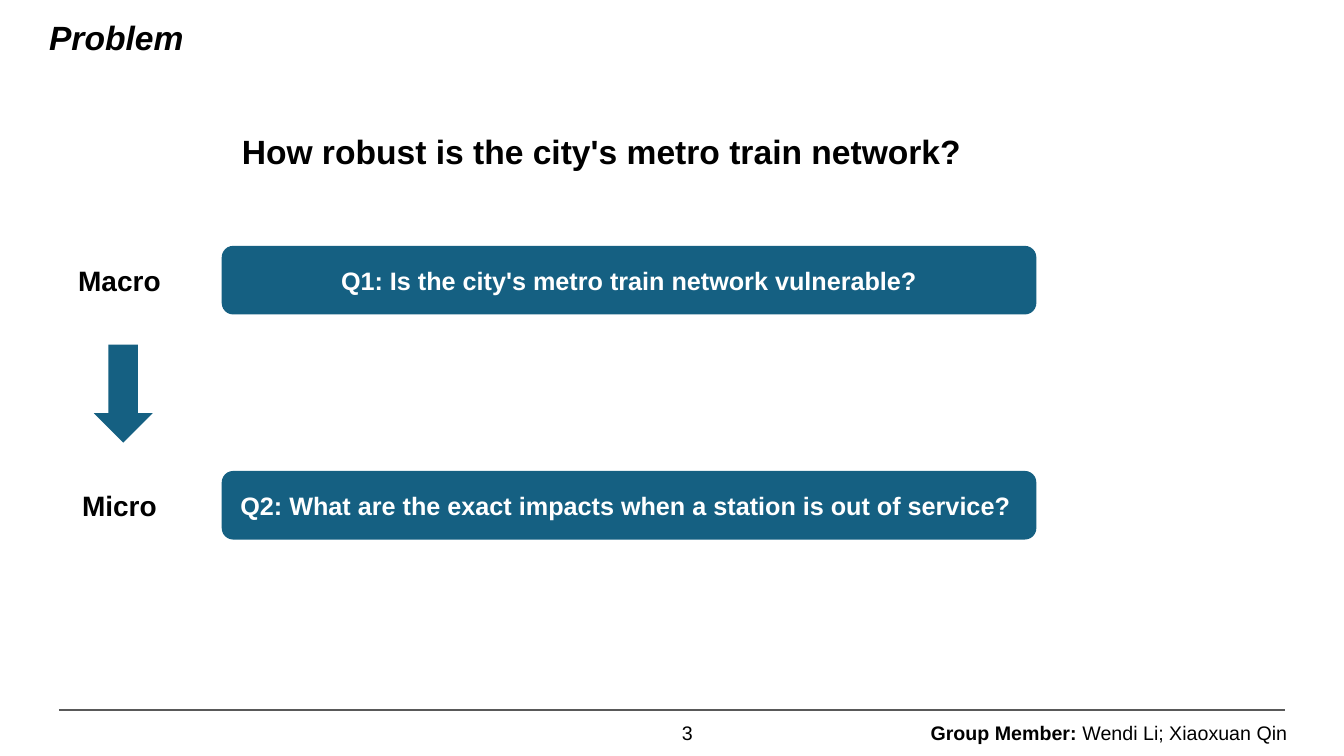
from dataclasses import dataclass

from lxml import etree
from pptx import Presentation
from pptx.dml.color import RGBColor
from pptx.enum.shapes import MSO_CONNECTOR, MSO_SHAPE
from pptx.enum.text import MSO_ANCHOR, PP_ALIGN
from pptx.oxml.ns import qn
from pptx.util import Pt

LEFT, CENTER, RIGHT = PP_ALIGN.LEFT, PP_ALIGN.CENTER, PP_ALIGN.RIGHT
MIDDLE = MSO_ANCHOR.MIDDLE
ROUNDED, DOWN_ARROW = MSO_SHAPE.ROUNDED_RECTANGLE, MSO_SHAPE.DOWN_ARROW
STRAIGHT = MSO_CONNECTOR.STRAIGHT


@dataclass(frozen=True)
class Theme:
    font: str = "Arial"
    ink: RGBColor = RGBColor(0x00, 0x00, 0x00)
    accent: RGBColor = RGBColor(0x15, 0x60, 0x82)
    on_accent: RGBColor = RGBColor(0xFF, 0xFF, 0xFF)
    rule: RGBColor = RGBColor(0x59, 0x59, 0x59)
    heading: int = 24
    level: int = 20
    question: int = 18
    footer: int = 14


THEME = Theme()


def style(paragraph, size, color=THEME.ink, bold=None, italic=None, align=LEFT):
    paragraph.alignment = align
    font = paragraph.font
    font.name, font.size, font.color.rgb = THEME.font, Pt(size), color
    font.bold, font.italic = bold, italic


def add_text(slide, box, text, size, wrap=True, **look):
    frame = slide.shapes.add_textbox(*map(Pt, box)).text_frame
    frame.word_wrap = wrap
    paragraph = frame.paragraphs[0]
    paragraph.text = text
    style(paragraph, size, **look)
    return paragraph


def add_accent_shape(slide, kind, box):
    shape = slide.shapes.add_shape(kind, *map(Pt, box))
    shape.shadow.inherit = False
    shape.fill.solid()
    shape.fill.fore_color.rgb = THEME.accent
    shape.line.fill.background()
    return shape


def add_header(slide, left, top, width):
    add_text(slide, (left, top, 163, 36), "Problem", THEME.heading,
             bold=True, italic=True)
    add_text(slide, (left + 137.6, top + 81.4, width, 36),
             "How robust is the city's metro train network?",
             THEME.heading, bold=True)


def add_level(slide, left, top, width, level, question):
    add_text(slide, (left, top + 8.9, 74, 31.5), level, THEME.level,
             wrap=False, bold=True, align=CENTER)
    indent = 110.1
    panel = add_accent_shape(slide, ROUNDED,
                             (left + indent, top, width - indent, 49))
    frame = panel.text_frame
    frame.word_wrap = True
    frame.vertical_anchor = MIDDLE
    frame.text = question
    style(frame.paragraphs[0], THEME.question, THEME.on_accent,
          bold=True, align=CENTER)


def add_questions(slide, left, top, width):
    pitch = 160.8
    levels = (
        ("Macro", "Q1: Is the city's metro train network vulnerable?"),
        ("Micro", "Q2: What are the exact impacts when a station is out of service? "),
    )
    for row, (level, question) in enumerate(levels):
        add_level(slide, left, top + row * pitch, width, level, question)
    add_accent_shape(slide, DOWN_ARROW, (left + 18.7, top + 70.6, 42, 70))


def add_footer(slide, left, top, width):
    right = left + width
    rule = slide.shapes.add_connector(STRAIGHT, Pt(left), Pt(top), Pt(right), Pt(top))
    rule.line.color.rgb = THEME.rule
    rule.line.width = Pt(1.5)
    etree.SubElement(rule._element.spPr, qn("a:effectLst"))

    members = add_text(slide, (right - 262, top + 4.3, 270.7, 24.5),
                       "", THEME.footer, wrap=False, align=RIGHT)
    for text, bold in (("Group Member: ", True), ("Wendi Li; Xiaoxuan Qin", False)):
        run = members.add_run()
        run.text = text
        run.font.bold = bold
    add_text(slide, (left + width / 2, top + 4.3, 216, 29), "3", THEME.footer)


def main():
    deck = Presentation()
    deck.slide_width, deck.slide_height = Pt(960), Pt(540)
    slide = deck.slides.add_slide(deck.slide_layouts[6])
    add_header(slide, 28, 8.6, 582.5)
    add_questions(slide, 48.3, 175.6, 692)
    add_footer(slide, 42, 507, 876)
    deck.save("out.pptx")


if __name__ == "__main__":
    main()
